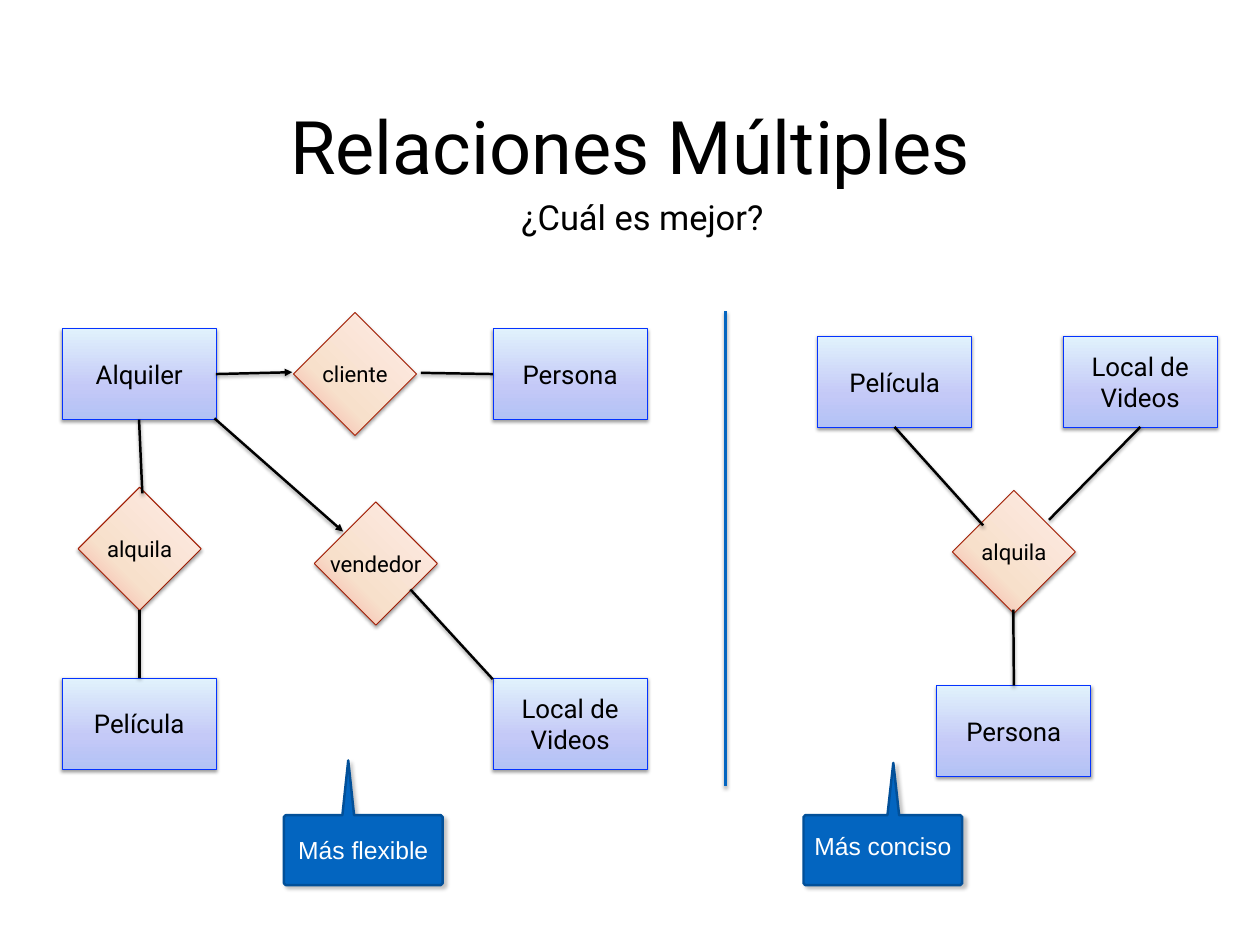
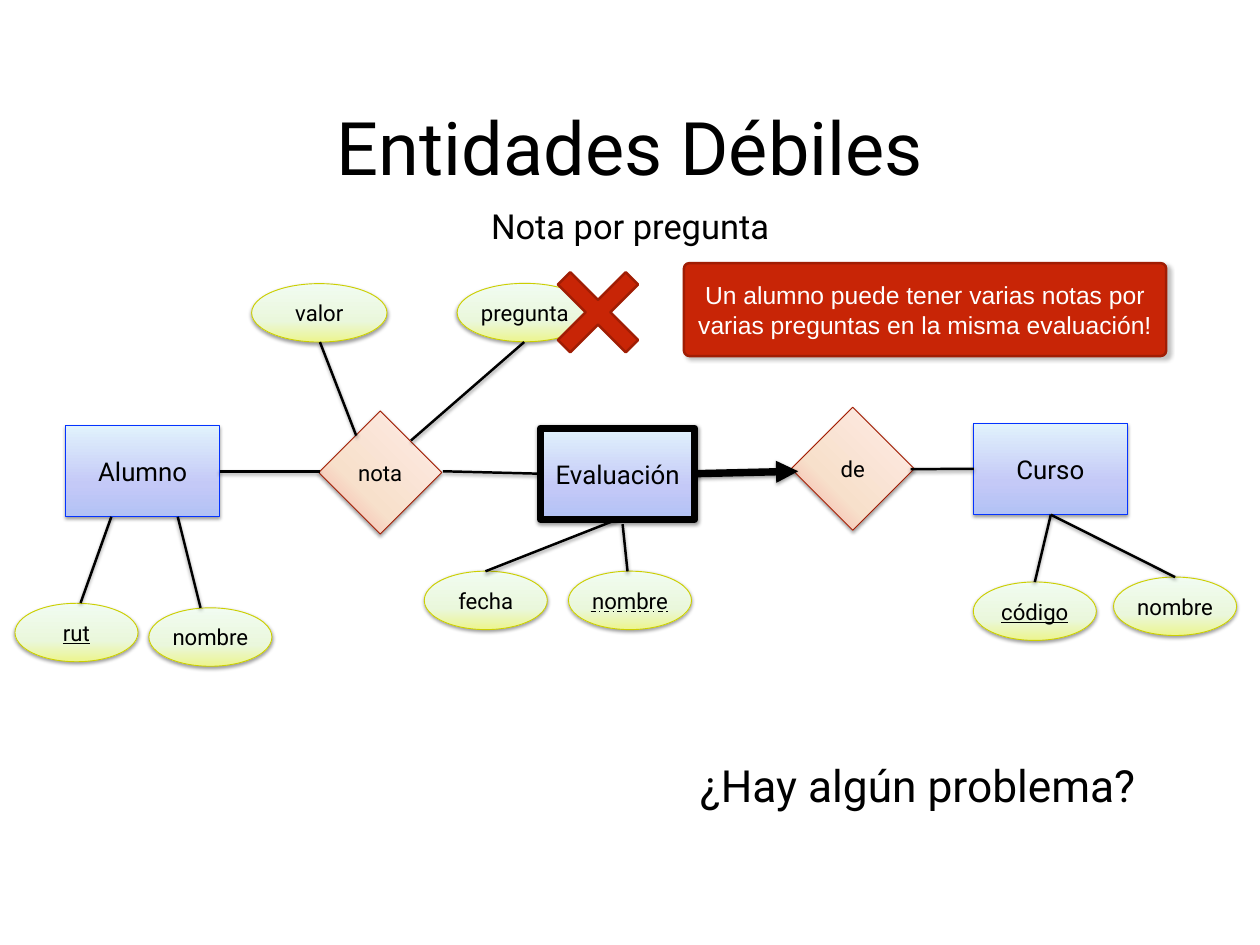
"""Two entity-relationship slides: multiple relations and weak entities."""
from copy import deepcopy

from lxml import etree
from pptx import Presentation
from pptx.dml.color import RGBColor
from pptx.enum import dml, shapes, text
from pptx.oxml.ns import qn
from pptx.util import Pt

BLACK = RGBColor(0x00, 0x00, 0x00)
WHITE = RGBColor(0xFF, 0xFF, 0xFF)
ENTITY_LINE = RGBColor(0x04, 0x33, 0xFF)
ATTRIBUTE_LINE = RGBColor(0xCC, 0xCF, 0x00)
DARK_RED = RGBColor(0xA0, 0x1D, 0x04)
RED = RGBColor(0xC8, 0x25, 0x06)
BLUE = RGBColor(0x03, 0x65, 0xC0)
DARK_BLUE = RGBColor(0x02, 0x50, 0x99)

ENTITY_STOPS = [(0, RGBColor(0xB2, 0xC2, 0xF5)), (0.36, RGBColor(0xC4, 0xC9, 0xF7)),
                (1, RGBColor(0xE1, 0xF2, 0xFC))]
RELATION_STOPS = [(0, RGBColor(0xF5, 0xA0, 0x9A)), (0.35, RGBColor(0xF7, 0xE0, 0xCB)),
                  (1, RGBColor(0xFF, 0xEB, 0xE7))]
ATTRIBUTE_STOPS = [(0, RGBColor(0xEC, 0xF5, 0x8E)), (0.36, RGBColor(0xEA, 0xF7, 0xDC)),
                   (1, RGBColor(0xF1, 0xFC, 0xF1))]

FONT = "Roboto"
NOTE_FONT = "Arial"
SOFT_SHADOW = {"alpha": 38, "distance": 1.6, "angle": 90}
NOTE_SHADOW = {"alpha": 24, "distance": 3.3, "angle": 44}


def set_shadow(drawn, alpha=0, distance=0, angle=0):
    """Replace the theme shadow by the given one, or by none if alpha is 0."""
    effects = etree.SubElement(drawn._element.spPr, qn("a:effectLst"))
    if alpha:
        outer = etree.SubElement(effects, qn("a:outerShdw"), blurRad=str(Pt(3)),
                                 dist=str(Pt(distance)), dir=str(angle * 60000), rotWithShape="0")
        black = etree.SubElement(outer, qn("a:srgbClr"), val=str(BLACK))
        etree.SubElement(black, qn("a:alpha"), val=str(alpha * 1000))


def set_gradient(drawn, stops, angle):
    """Fill with a three-stop linear gradient; the angle runs counter-clockwise."""
    drawn.fill.gradient()
    drawn.fill.gradient_angle = angle
    stop_list = drawn._element.spPr.find(qn("a:gradFill")).find(qn("a:gsLst"))
    stop_list.append(deepcopy(stop_list[0]))
    for stop, (position, color) in zip(drawn.fill.gradient_stops, stops):
        stop.position = position
        stop.color.rgb = color


def write(drawn, words, size, color=BLACK, font=FONT, margin=0, top_margin=None,
          underline=False, wrap=True):
    """Write one centred paragraph in a shape or placeholder."""
    frame = drawn.text_frame
    frame.word_wrap = wrap
    frame.auto_size = text.MSO_AUTO_SIZE.NONE
    frame.vertical_anchor = text.MSO_ANCHOR.MIDDLE
    frame.margin_left = frame.margin_right = frame.margin_bottom = Pt(margin)
    frame.margin_top = Pt(margin if top_margin is None else top_margin)
    paragraph = frame.paragraphs[0]
    paragraph.text = words
    paragraph.alignment = text.PP_ALIGN.CENTER
    paragraph.font.name = font
    paragraph.font.size = Pt(size)
    paragraph.font.color.rgb = color
    if underline:
        paragraph.font.underline = True


def outline(drawn, color, width):
    """Set the line of a shape or connector."""
    drawn.line.color.rgb = color
    drawn.line.width = Pt(width)


def paint(drawn, fill_color, line_color):
    """Give a note shape its plain fill and 2-point line."""
    drawn.fill.solid()
    drawn.fill.fore_color.rgb = fill_color
    outline(drawn, line_color, 2)


def add_preset(slide, preset, left, top, width, height):
    """Add a preset shape placed in points."""
    return slide.shapes.add_shape(preset, Pt(left), Pt(top), Pt(width), Pt(height))


def add_polygon(slide, points):
    """Add a closed outline through points."""
    corners = [(Pt(x), Pt(y)) for x, y in points]
    builder = slide.shapes.build_freeform(*corners[0])
    builder.add_line_segments(corners[1:], close=True)
    return builder.convert_to_shape()


def add_titled_slide(deck, words, height):
    """Add a title-only slide and format its title."""
    slide = deck.slides.add_slide(deck.slide_layouts[5])
    title = slide.shapes.title
    title.left, title.top, title.width, title.height = Pt(154), Pt(78.5), Pt(716), Pt(height)
    write(title, words, 60, margin=4.5)
    return slide


def add_caption(slide, words, left, top, width, height, size=28):
    """Add a free line of text."""
    caption = slide.shapes.add_textbox(Pt(left), Pt(top), Pt(width), Pt(height))
    write(caption, words, size, margin=4.5)


def add_entity(slide, words, left, top, line_color=ENTITY_LINE, line_width=0.75):
    """Add an entity rectangle."""
    entity = add_preset(slide, shapes.MSO_SHAPE.RECTANGLE, left, top, 125.3, 74)
    set_gradient(entity, ENTITY_STOPS, 90)
    outline(entity, line_color, line_width)
    set_shadow(entity, **SOFT_SHADOW)
    write(entity, words, 21)


def add_relation(slide, words, left, top):
    """Add a relation diamond."""
    relation = add_preset(slide, shapes.MSO_SHAPE.DIAMOND, left, top, 100, 100)
    set_gradient(relation, RELATION_STOPS, 45)
    outline(relation, DARK_RED, 0.75)
    set_shadow(relation, **SOFT_SHADOW)
    write(relation, words, 18, wrap=False)


def add_attribute(slide, words, left, top, width=100, key=False):
    """Add an attribute ellipse; a key is underlined."""
    attribute = add_preset(slide, shapes.MSO_SHAPE.OVAL, left, top, width, 47.5)
    set_gradient(attribute, ATTRIBUTE_STOPS, 90)
    outline(attribute, ATTRIBUTE_LINE, 0.75)
    set_shadow(attribute, **SOFT_SHADOW)
    write(attribute, words, 18, underline=key)


def add_link(slide, start, end, color=BLACK, width=2, arrow=False):
    """Add a shadowed straight line, with an arrowhead at its end if asked."""
    link = slide.shapes.add_connector(shapes.MSO_CONNECTOR.STRAIGHT,
                                      *(Pt(value) for value in (*start, *end)))
    outline(link, color, width)
    if arrow:
        etree.SubElement(link.line._get_or_add_ln(), qn("a:tailEnd"), type="triangle")
    set_shadow(link, **SOFT_SHADOW)


def add_partial_key(slide, left, right, y):
    """Add the dashed underline of a partial key."""
    underline = slide.shapes.add_connector(shapes.MSO_CONNECTOR.STRAIGHT,
                                           Pt(left), Pt(y), Pt(right), Pt(y))
    outline(underline, BLACK, 1)
    underline.line.dash_style = dml.MSO_LINE.DASH_DOT
    set_shadow(underline)


def add_callout(slide, words, left, tip, top_margin):
    """Add a blue box with a narrow tail that points up to the tip."""
    top, right, bottom, corner, half_tail = 662.5, left + 129, 719.3, 1.5, 4.75
    tip_x, tip_y = tip
    callout = add_polygon(slide, [
        tip, (tip_x + half_tail, top), (right - corner, top), (right, top + corner),
        (right, bottom - corner), (right - corner, bottom), (left + corner, bottom),
        (left, bottom - corner), (left, top + corner), (left + corner, top),
        (tip_x - half_tail, top)])
    paint(callout, BLUE, DARK_BLUE)
    set_shadow(callout, **NOTE_SHADOW)
    write(callout, words, 20, WHITE, NOTE_FONT, top_margin=top_margin)


def add_cross(slide, center_x, center_y, reach=32.6, notch=10):
    """Add a red diagonal cross, one arm per quarter turn."""
    arm = [(0, -notch), (reach - notch, -reach), (reach, notch - reach)]
    points = []
    for _ in range(4):
        points += [(center_x + x, center_y + y) for x, y in arm]
        arm = [(-y, x) for x, y in arm]
    cross = add_polygon(slide, points)
    paint(cross, RED, DARK_RED)
    set_shadow(cross)


def add_warning(slide, words, left, top, width, height):
    """Add a red rounded box with a warning."""
    warning = add_preset(slide, shapes.MSO_SHAPE.ROUNDED_RECTANGLE, left, top, width, height)
    warning.adjustments[0] = 0.06
    paint(warning, RED, DARK_RED)
    set_shadow(warning, **NOTE_SHADOW)
    write(warning, words, 20, WHITE, NOTE_FONT)


def build_multiple_relations(deck):
    """Compare three binary relations with one ternary relation."""
    slide = add_titled_slide(deck, "Relaciones Múltiples", 78.5)
    add_caption(slide, "¿Cuál es mejor?", 286, 155.5, 472, 41)
    for words, left, top in [("Alquiler", 50.5, 267), ("Persona", 400.7, 267),
                             ("Película", 50.5, 551), ("Local de Videos", 400.7, 551),
                             ("Película", 664.5, 273.2), ("Local de Videos", 864, 273.2),
                             ("Persona", 761.3, 557)]:
        add_entity(slide, words, left, top)
    for words, left, top in [("cliente", 238.5, 254), ("alquila", 63.5, 396),
                             ("vendedor", 255.5, 408), ("alquila", 774, 398.5)]:
        add_relation(slide, words, left, top)
    for start, end in [((342, 303), (400.5, 304)), ((113, 341), (115.7, 401)),
                       ((113.3, 496), (113.3, 551)), ((333.5, 479), (400.5, 552)),
                       ((727, 347), (799, 427)), ((852.5, 422.5), (926.7, 347)),
                       ((823.5, 495.5), (824, 557))]:
        add_link(slide, start, end)
    add_link(slide, (175.5, 304), (237.5, 302.5), arrow=True)
    add_link(slide, (174.3, 340), (278.8, 432), arrow=True)
    add_link(slide, (589.5, 253), (589.5, 639), color=BLUE)
    add_callout(slide, "Más flexible", 230.7, (283, 618), 43)
    add_callout(slide, "Más conciso", 653, (726, 620), 35)


def build_weak_entities(deck):
    """Show why a mark per question breaks the model."""
    slide = add_titled_slide(deck, "Entidades Débiles", 81)
    add_caption(slide, "Nota por pregunta", 228.5, 162.3, 567, 42)
    add_entity(slide, "Alumno", 53.3, 346)
    add_entity(slide, "Evaluación", 439.3, 348, BLACK, 6)
    add_entity(slide, "Curso", 791, 344.3)
    add_relation(slide, "nota", 259, 334)
    add_relation(slide, "de", 643, 331)
    for words, left, top in [("fecha", 344.8, 464.2), ("nombre", 462, 464.2),
                             ("nombre", 905, 469), ("nombre", 121, 494)]:
        add_attribute(slide, words, left, top)
    add_attribute(slide, "código", 791, 473, key=True)
    add_attribute(slide, "rut", 12.2, 490.3, key=True)
    add_attribute(slide, "valor", 204.5, 230.5, width=110)
    add_attribute(slide, "pregunta", 371.5, 230.3, width=110)
    add_partial_key(slide, 480, 544.5, 497)
    for start, end in [((178.5, 383), (260, 383)), ((360, 383), (439, 385)),
                       ((740, 381.3), (791.5, 381)), ((502, 422), (394.5, 464.3)),
                       ((506, 426), (510, 464.3)), ((854, 418.3), (955, 469)),
                       ((854, 418.3), (841, 473)), ((90.5, 420), (65.5, 490)),
                       ((144.5, 420), (163, 494)), ((260, 278), (289.5, 354)),
                       ((334, 358), (426, 278))]:
        add_link(slide, start, end)
    add_link(slide, (564.5, 385), (648.7, 383), width=6, arrow=True)
    add_cross(slide, 486, 253.8)
    add_warning(slide, "Un alumno puede tener varias notas por varias preguntas "
                "en la misma evaluación!", 555.8, 213.8, 392, 75.6)
    add_caption(slide, "¿Hay algún problema?", 536.3, 612, 419, 52, size=36)


def main():
    """Build and save the deck."""
    deck = Presentation()
    deck.slide_width, deck.slide_height = Pt(1024), Pt(768)
    build_multiple_relations(deck)
    build_weak_entities(deck)
    deck.save("out.pptx")


if __name__ == "__main__":
    main()
